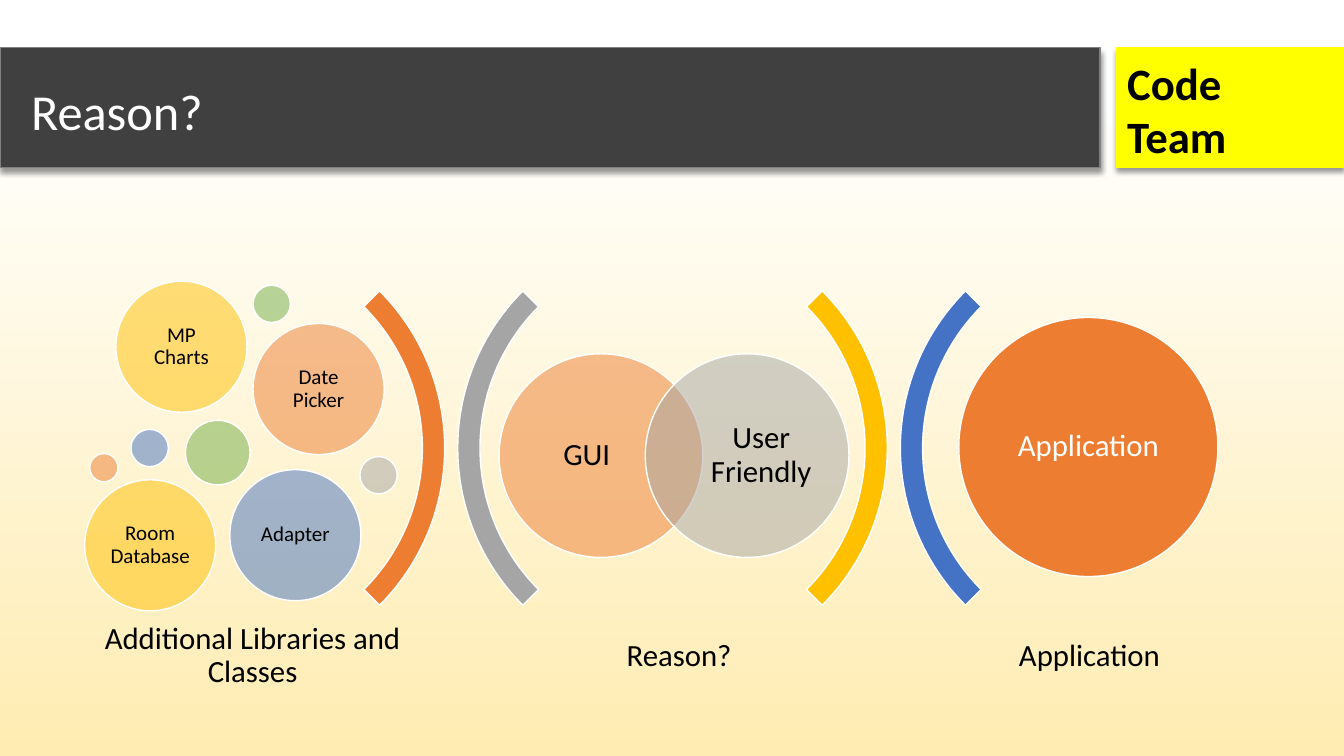
from lxml import etree
from pptx import Presentation
from pptx.dml.color import RGBColor
from pptx.enum.shapes import MSO_SHAPE as SHAPE
from pptx.enum.text import MSO_ANCHOR as ANCHOR, PP_ALIGN as ALIGN
from pptx.oxml import parse_xml
from pptx.oxml.ns import nsdecls, qn
from pptx.util import Inches, Pt

BLACK = RGBColor(0x00, 0x00, 0x00)
WHITE = RGBColor(0xFF, 0xFF, 0xFF)
CREAM = RGBColor(0xFF, 0xEC, 0xB2)
CHARCOAL = RGBColor(0x40, 0x40, 0x40)
MID_GRAY = RGBColor(0x80, 0x80, 0x80)
YELLOW = RGBColor(0xFF, 0xFF, 0x00)
ORANGE = RGBColor(0xED, 0x7D, 0x31)
GRAY = RGBColor(0xA5, 0xA5, 0xA5)
GOLD = RGBColor(0xFF, 0xC0, 0x00)
BLUE = RGBColor(0x44, 0x72, 0xC4)
GREEN = RGBColor(0x70, 0xAD, 0x47)

CELL = Inches(0.1)  # the slide is a grid of 133.3 columns by 75 rows

deck = Presentation()
deck.slide_width, deck.slide_height = Inches(13.33), Inches(7.5)
page = deck.slides.add_slide(deck.slide_layouts[6])


def add_box(kind, left, top, width, height, fill=None, line=WHITE, alpha=100):
    """Place a shape, or a text box when kind is None, on the grid."""
    place = [round(cells * CELL) for cells in (left, top, width, height)]
    if kind is None:
        return page.shapes.add_textbox(*place)
    box = page.shapes.add_shape(kind, *place)
    box.shadow.inherit = False
    box.fill.solid()
    box.fill.fore_color.rgb = fill
    box.line.color.rgb = line
    box.line.width = Pt(1)
    if alpha < 100:
        color = box.fill._xPr.find(qn("a:solidFill"))[0]
        etree.SubElement(color, qn("a:alpha")).set("val", str(alpha * 1000))
    return box


def write(box, text, size, color=BLACK, align=ALIGN.CENTER, anchor=ANCHOR.MIDDLE,
          insets=(0.09, 0.09, 0.09, 0.09), spacing=0.9, bold=False):
    frame = box.text_frame
    frame.text = text
    frame.word_wrap = True
    frame.vertical_anchor = anchor
    (frame.margin_left, frame.margin_top,
     frame.margin_right, frame.margin_bottom) = map(Inches, insets)
    para = frame.paragraphs[0]
    para.alignment = align
    para.line_spacing = spacing
    font = para.runs[0].font
    font.name, font.size, font.bold = "Calibri", Pt(size), bold
    font.color.rgb = color


# Background fading from white to cream
backdrop = page.background.fill
backdrop.gradient()
backdrop.gradient_angle = 270
for stop, position, color in zip(backdrop.gradient_stops, (0.12, 1), (WHITE, CREAM)):
    stop.position = position
    stop.color.rgb = color

# Brackets between neighbouring columns
ARC_SIZE, ARC_TOP = 44.1, 22.4
for index, color in enumerate((ORANGE, GRAY, GOLD, BLUE)):
    gap, side = divmod(index, 2)
    arc = add_box(SHAPE.BLOCK_ARC, 43.9 * gap + 45.4 * side, ARC_TOP,
                  ARC_SIZE, ARC_SIZE, color)
    arc.rotation = (90, 270)[side]
    for slot, value in enumerate((135, 189, 0.05)):
        arc.adjustments[slot] = value

# Overlapping pair: each label keeps clear of the overlap
OVERLAP = 0.28
for left, color, label, insets in (
    (49.5, ORANGE, "GUI", (0, 0, OVERLAP, 0)),
    (64, GRAY, "User Friendly", (OVERLAP, 0, 0, 0)),
):
    circle = add_box(SHAPE.OVAL, left, 35.1, 20.2, 20.2, color, alpha=50)
    write(circle, label, 22, insets=insets)

# Library bubbles: left, top, diameter, colour, label
LARGE, MEDIUM, SMALL, TINY = 13, 6.4, 3.7, 2.8
for left, top, size, color, label in (
    (11.5, 27.9, LARGE, GOLD, "MP Charts"),
    (13, 42.6, SMALL, BLUE, None),
    (25.1, 28.3, SMALL, GREEN, None),
    (25.1, 32.1, LARGE, ORANGE, "Date Picker"),
    (35.7, 45.3, SMALL, GRAY, None),
    (8.4, 47.6, LARGE, GOLD, "Room Database"),
    (22.8, 46.6, LARGE, BLUE, "Adapter"),
    (18.4, 41.7, MEDIUM, GREEN, None),
    (8.9, 45, TINY, ORANGE, None),
):
    bubble = add_box(SHAPE.OVAL, left, top, size, size, color, alpha=50)
    if label:
        write(bubble, label, 15, insets=(0.06, 0.06, 0.06, 0.06))

# Result circle
result = add_box(SHAPE.OVAL, 95.1, 31.5, 25.7, 25.7, ORANGE)
write(result, "Application", 22, WHITE)

# Column captions
for left, caption in ((8.3, "Additional Libraries and Classes"),
                      (50.6, "Reason?"), (91.3, "Application")):
    write(add_box(None, left, 60.7, 33.5, 8.8), caption, 22)

# Header bar and team badge
for left, width, fill, line in ((0, 109.1, CHARCOAL, MID_GRAY),
                                (110.8, 22.5, YELLOW, YELLOW)):
    banner = add_box(SHAPE.RECTANGLE, left, 4.7, width, 11.9, fill, line)
    effects = banner._element.spPr.find(qn("a:effectLst"))
    effects.append(parse_xml(
        f'<a:outerShdw {nsdecls("a")} blurRad="{Pt(4)}" dist="{Pt(3)}" dir="5400000">'
        '<a:srgbClr val="000000"><a:alpha val="40000"/></a:srgbClr></a:outerShdw>'))

HEADER_INSETS = (0.1, 0.05, 0.1, 0.05)
write(add_box(None, 110.8, 5, 16.2, 11.8), "Code Team", 32, align=ALIGN.LEFT,
      anchor=ANCHOR.TOP, insets=HEADER_INSETS, spacing=1.0, bold=True)
write(add_box(None, 2.1, 5.4, 103.7, 11.8), "Reason?", 36, WHITE,
      align=ALIGN.LEFT, insets=HEADER_INSETS)

deck.save("out.pptx")
